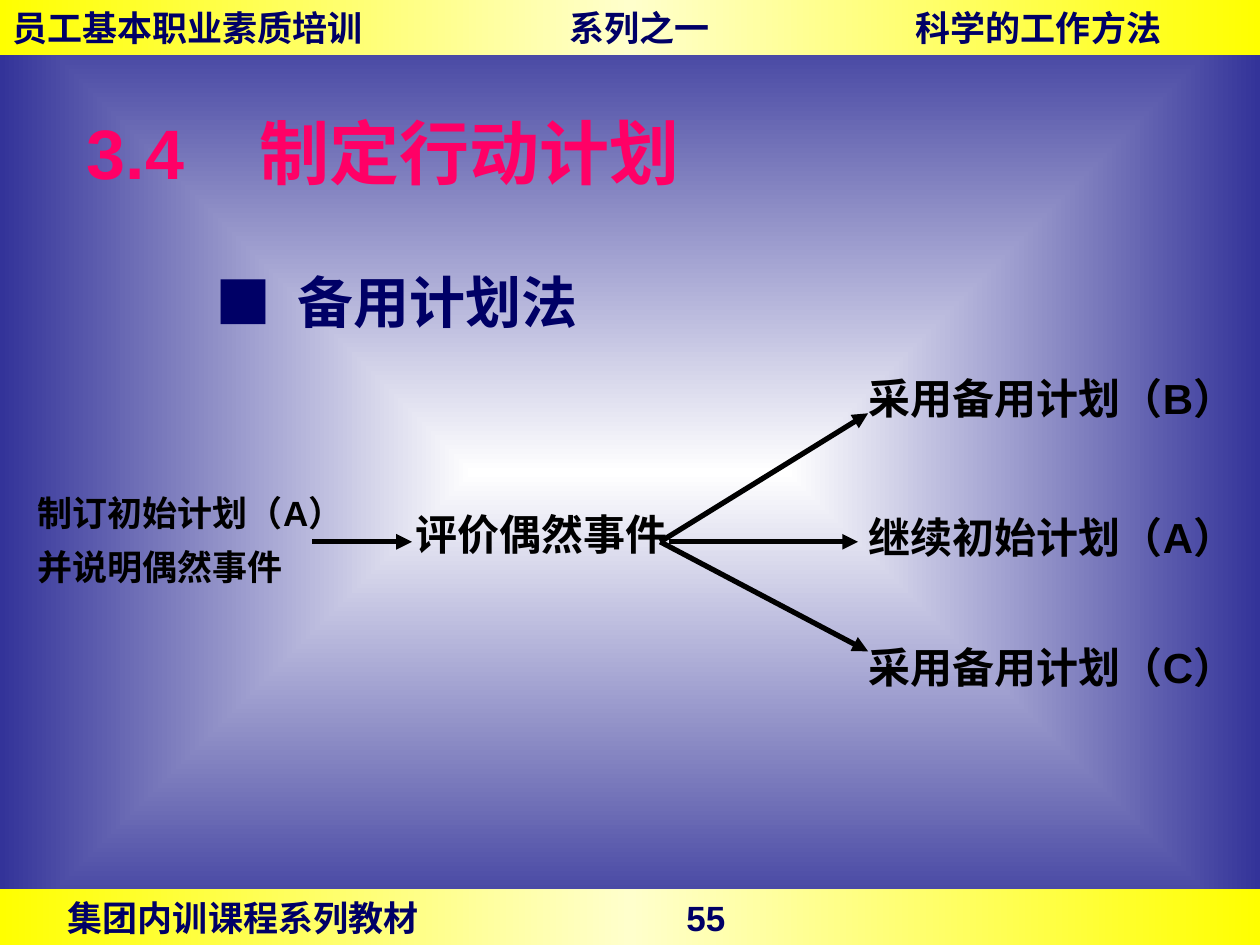
from dataclasses import dataclass

from lxml import etree
from pptx import Presentation
from pptx.dml.color import RGBColor
from pptx.enum import shapes, text
from pptx.oxml import ns
from pptx.util import Inches, Pt


@dataclass(frozen=True)
class Theme:
    font: str = "Arial"
    asian_font: str = "Noto Sans CJK SC"
    navy: str = "000066"
    pink: str = "FF0066"
    black: str = "000000"
    edge: str = "333399"
    white: str = "FFFFFF"
    yellow: str = "FFFF00"
    pale: str = "FFFFCC"
    title: int = 40
    heading: int = 32
    branch: int = 24
    small: int = 20


THEME = Theme()


def add_element(parent, tag, **attributes):
    return etree.SubElement(parent, ns.qn(tag), attributes)


def set_gradient(fill, owner, stops, centred=False):
    """Fill with (percent, colour) stops, across or outwards from the centre."""
    fill.gradient()
    gradient = owner.find(".//" + ns.qn("a:gradFill"))
    for child in list(gradient):
        gradient.remove(child)
    stop_list = add_element(gradient, "a:gsLst")
    for percent, color in stops:
        stop = add_element(stop_list, "a:gs", pos=str(percent * 1000))
        add_element(stop, "a:srgbClr", val=color)
    if centred:
        path = add_element(gradient, "a:path", path="rect")
        add_element(path, "a:fillToRect", l="50000", t="50000", r="50000", b="50000")
    else:
        add_element(gradient, "a:lin", ang="0", scaled="0")


def write(frame, lines, size, color, align=text.PP_ALIGN.LEFT, tabs=(), spacing=None):
    """Write one paragraph per line, with tab stops given in inches."""
    for index, line in enumerate(lines):
        paragraph = frame.paragraphs[0] if index == 0 else frame.add_paragraph()
        paragraph.text = line
        paragraph.alignment = align
        if spacing:
            paragraph.line_spacing = spacing
        properties = paragraph._p.get_or_add_pPr()
        if tabs:
            tab_list = add_element(properties, "a:tabLst")
            for tab in tabs:
                add_element(tab_list, "a:tab", pos=str(Inches(tab)), algn="l")
        font = paragraph.font
        font.name, font.size, font.bold = THEME.font, Pt(size), True
        font.color.rgb = RGBColor.from_string(color)
        add_element(properties.find(ns.qn("a:defRPr")), "a:ea", typeface=THEME.asian_font)


def add_band(slide, top, line, tabs):
    band = slide.shapes.add_shape(
        shapes.MSO_SHAPE.RECTANGLE, 0, Inches(top), Inches(10), Inches(0.44))
    band.shadow.inherit = False
    band.line.fill.background()
    set_gradient(band.fill, band._element,
                 [(0, THEME.yellow), (50, THEME.pale), (100, THEME.yellow)])
    band.text_frame.vertical_anchor = text.MSO_ANCHOR.MIDDLE
    write(band.text_frame, [line], THEME.small, THEME.navy, tabs=tabs)


def set_title(slide, line):
    title = slide.shapes.title
    title.left, title.top = Inches(0.59), Inches(0.75)
    title.width, title.height = Inches(5.75), Inches(0.9)
    title.text_frame.vertical_anchor = text.MSO_ANCHOR.MIDDLE
    write(title.text_frame, [line], THEME.title, THEME.pink, tabs=[1.37])


def add_text(slide, box, lines, size, color=THEME.black, wrap=False, **format):
    shape = slide.shapes.add_textbox(*map(Inches, box))
    shape.text_frame.word_wrap = wrap
    shape.text_frame.auto_size = text.MSO_AUTO_SIZE.SHAPE_TO_FIT_TEXT
    write(shape.text_frame, lines, size, color, **format)


def add_arrow(slide, start, end):
    arrow = slide.shapes.add_connector(
        shapes.MSO_CONNECTOR.STRAIGHT, *map(Inches, start + end))
    arrow.line.width = Pt(3)
    arrow.line.color.rgb = RGBColor.from_string(THEME.black)
    add_element(arrow.line._get_or_add_ln(), "a:tailEnd", type="triangle")
    add_element(arrow._element.spPr, "a:effectLst")


def main():
    presentation = Presentation()
    presentation.slide_width, presentation.slide_height = Inches(10), Inches(7.5)
    slide = presentation.slides.add_slide(presentation.slide_layouts[5])
    set_gradient(slide.background.fill, slide._element,
                 [(0, THEME.white), (100, THEME.edge)], centred=True)

    add_band(slide, 7.06, "\t集团内训课程系列教材\t55", [0.44, 5.35])
    add_band(slide, 0, "员工基本职业素质培训\t系列之一\t科学的工作方法", [4.42, 7.17])
    set_title(slide, "3.4\t制定行动计划")
    add_text(slide, (1.61, 2.02, 3.74, 0.69), ["■\t备用计划法"], THEME.heading,
             THEME.navy, wrap=True, tabs=[0.65], spacing=1.1)

    add_text(slide, (0.2, 3.75, 2.76, 0.97), ["制订初始计划（A）", "并说明偶然事件"],
             THEME.small, spacing=1.3)
    center = text.PP_ALIGN.CENTER
    add_text(slide, (3.2, 3.99, 2.2, 0.5), ["评价偶然事件"], THEME.branch, align=center)
    outcomes = [("采用备用计划（B）", 2.91), ("继续初始计划（A）", 4.01), ("采用备用计划（C）", 5.04)]
    for label, top in outcomes:
        add_text(slide, (6.72, top, 3.26, 0.5), [label], THEME.branch, align=center)

    axis = 4.3
    add_arrow(slide, (2.48, axis), (3.27, axis))
    add_arrow(slide, (5.31, axis), (6.81, axis))
    for end_y in (3.28, 5.17):
        add_arrow(slide, (5.24, axis), (6.89, end_y))

    presentation.save("out.pptx")


if __name__ == "__main__":
    main()
